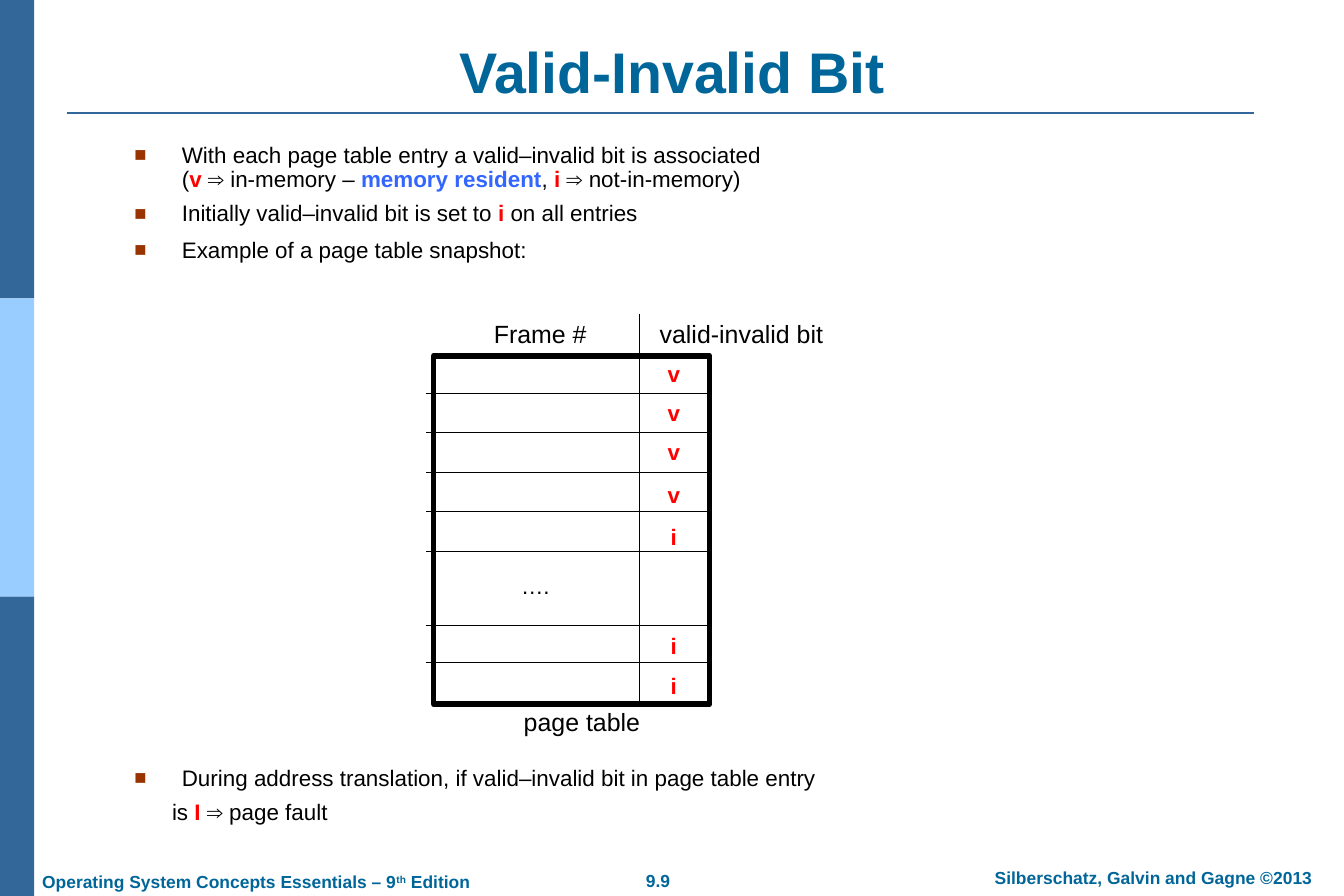
import pptx
import pptx.dml.color
import pptx.enum.shapes
import pptx.enum.text
import pptx.oxml
import pptx.oxml.ns
import pptx.util

PX = 9144
NAVY, TEAL, RED, BLUE, BLACK = "336699", "006699", "FF0000", "3366FF", "000000"
ANCHOR = pptx.enum.text.MSO_ANCHOR
ALIGN = pptx.enum.text.PP_ALIGN
SHAPE = pptx.enum.shapes.MSO_SHAPE

deck = pptx.Presentation()
deck.slide_width = 1500 * PX
deck.slide_height = 1000 * PX
page = deck.slides.add_slide(deck.slide_layouts[6])


def rgb(value):
    return pptx.dml.color.RGBColor.from_string(value)


def add_text(bounds, paragraphs, size, color=BLACK, bold=False,
             align=ALIGN.CENTER, anchor=ANCHOR.TOP, wrap=False):
    box = page.shapes.add_textbox(*[value * PX for value in bounds])
    frame = box.text_frame
    frame_format = {
        "margin_left": 14 * PX, "margin_right": 14 * PX,
        "margin_top": 7 * PX, "margin_bottom": 7 * PX,
        "word_wrap": wrap, "vertical_anchor": anchor,
    }
    for name, value in frame_format.items():
        setattr(frame, name, value)
    for index, spans in enumerate(paragraphs):
        para = frame.paragraphs[0] if index == 0 else frame.add_paragraph()
        para.alignment = align
        for text, changes in spans:
            if text == "\n":
                para.add_line_break()
                continue
            span = para.add_run()
            span.text = text
            look = {"name": "Arial", "size": pptx.util.Pt(size), "bold": bold} | changes
            span.font.color.rgb = rgb(look.pop("color", color))
            for name, value in look.items():
                setattr(span.font, name, value)
    return frame


for index, color in enumerate([NAVY, "99CCFF", NAVY]):
    top, bottom = 1000 * index // 3, 1000 * (index + 1) // 3
    bar = page.shapes.add_shape(SHAPE.RECTANGLE, 0, top * PX, 38 * PX, (bottom - top) * PX)
    bar.shadow.inherit = False
    bar.fill.solid()
    bar.fill.fore_color.rgb = rgb(color)
    bar.line.fill.background()

add_text((75, 40, 1350, 84), [[("Valid-Invalid Bit", {})]], 46, TEAL, True,
         anchor=ANCHOR.BOTTOM, wrap=True)
add_text((665, 964, 139, 36), [[("9.9", {})]], 14, TEAL, True)
add_text((1075, 961, 425, 38), [[("Silberschatz, Galvin and Gagne ©2013", {})]],
         14, TEAL, True, wrap=True)
edition = add_text((33, 965, 506, 35), [[
    ("Operating System Concepts Essentials – 9", {}), ("th", {}), (" Edition", {}),
]], 14, TEAL, True, ALIGN.LEFT)
edition.paragraphs[0].runs[1].font._element.set("baseline", "30000")

red_bold = {"color": RED, "bold": True}
intro = add_text((136, 154, 1276, 150), [
    [("With each page table entry a valid–invalid bit is associated", {}), ("\n", {}),
     ("(", {}), ("v ", red_bold), ("⇒ in-memory – ", {}),
     ("memory resident", {"color": BLUE, "bold": True}), (", ", {}),
     ("i ", red_bold), ("⇒ not-in-memory)", {})],
    [("Initially valid–invalid bit is set to", {}), (" i ", red_bold), ("on all entries", {})],
    [("Example of a page table snapshot:", {})],
], 18, align=ALIGN.LEFT, wrap=True)
fault = add_text((136, 849, 1276, 90), [
    [("During address translation, if valid–invalid bit in page table entry", {})],
    [("is", {}), (" I ", red_bold), ("⇒ page fault", {})],
], 18, align=ALIGN.LEFT, wrap=True)

bullet_parts = [
    '<a:buClr %s><a:srgbClr val="993300"/></a:buClr>',
    '<a:buSzPct %s val="90000"/>',
    '<a:buFont %s typeface="Arial"/>',
    '<a:buChar %s char="■"/>',
]
for frame, spaces in [(intro, [0, 7.9, 10]), (fault, [0, 7.9])]:
    for para, space in zip(frame.paragraphs, spaces):
        para.line_spacing = 0.9
        para.space_before = pptx.util.Pt(space)
        properties = para._p.get_or_add_pPr()
        if para is fault.paragraphs[-1] or para.text.startswith("is"):
            properties.set("marL", str(42 * PX))
            properties.set("indent", "0")
            continue
        properties.set("marL", str(53 * PX))
        properties.set("indent", str(-53 * PX))
        for part in bullet_parts:
            properties.append(pptx.oxml.parse_xml(part % pptx.oxml.ns.nsdecls("a")))

table_frame = page.shapes.add_shape(SHAPE.RECTANGLE, 484 * PX, 397 * PX, 308 * PX, 389 * PX)
table_frame.shadow.inherit = False
table_frame.fill.solid()
table_frame.fill.fore_color.rgb = rgb("FFFFFF")
table_frame.line.color.rgb = rgb(BLACK)
table_frame.line.width = pptx.util.Pt(4.5)

row_edges = [*range(439, 617, 44), 698, 739]
rules = [(476, y, 789, y, BLACK, 0.75) for y in row_edges]
rules += [(714, 350, 714, 783, BLACK, 0.75), (75, 126, 1400, 126, NAVY, 1.5)]
for *ends, color, width in rules:
    rule = page.shapes.add_connector(
        pptx.enum.shapes.MSO_CONNECTOR.STRAIGHT, *[value * PX for value in ends])
    rule.line.color.rgb = rgb(color)
    rule.line.width = pptx.util.Pt(width)
    rule._element.spPr.append(
        pptx.oxml.parse_xml("<a:effectLst %s/>" % pptx.oxml.ns.nsdecls("a")))

for bit, top in zip("vvvviii", [395, 438, 482, 530, 577, 699, 743]):
    add_text((730, top, 44, 44), [[(bit, {})]], 18, RED, True, anchor=ANCHOR.MIDDLE)

labels = [
    ("….", (567, 632, 61, 44), 18),
    ("Frame #", (537, 348, 132, 48), 20),
    ("valid-invalid bit", (722, 348, 211, 48), 20),
    ("page table", (570, 781, 159, 48), 20),
]
for text, bounds, size in labels:
    add_text(bounds, [[(text, {})]], size, anchor=ANCHOR.MIDDLE)

deck.save("out.pptx")
